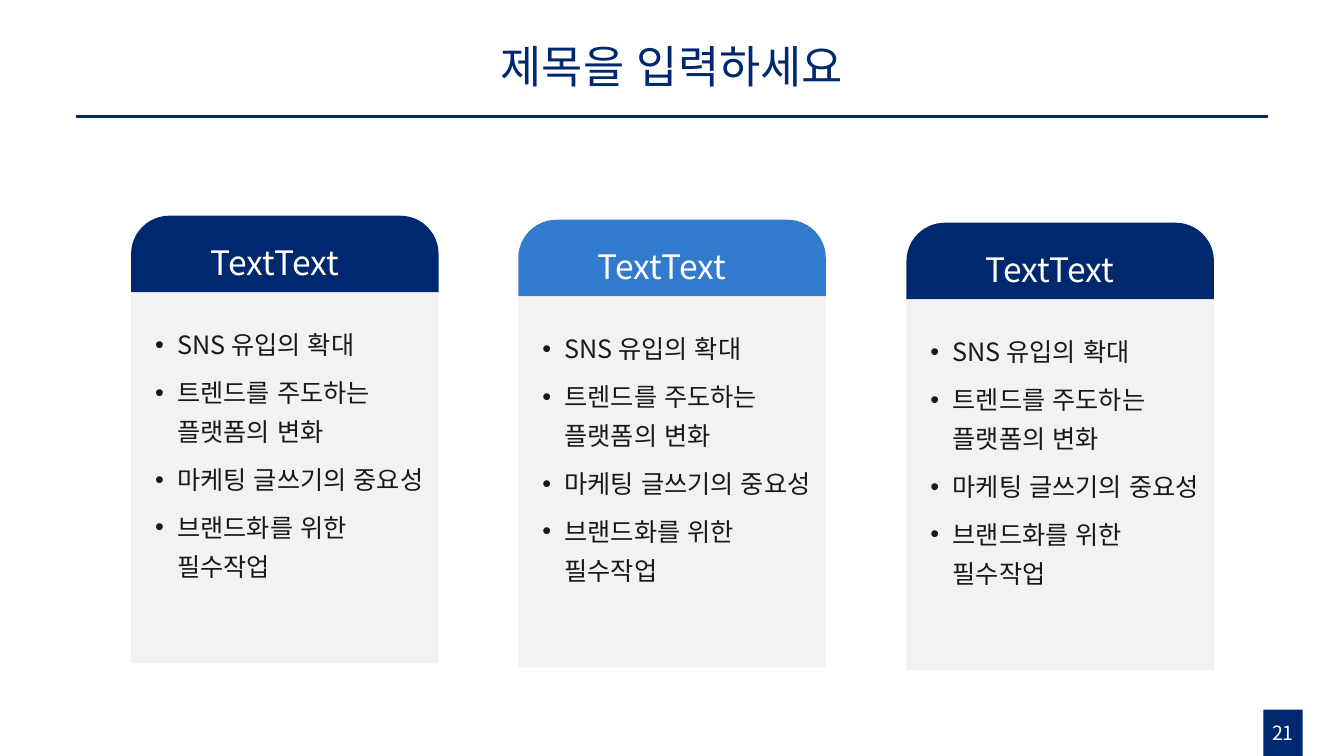
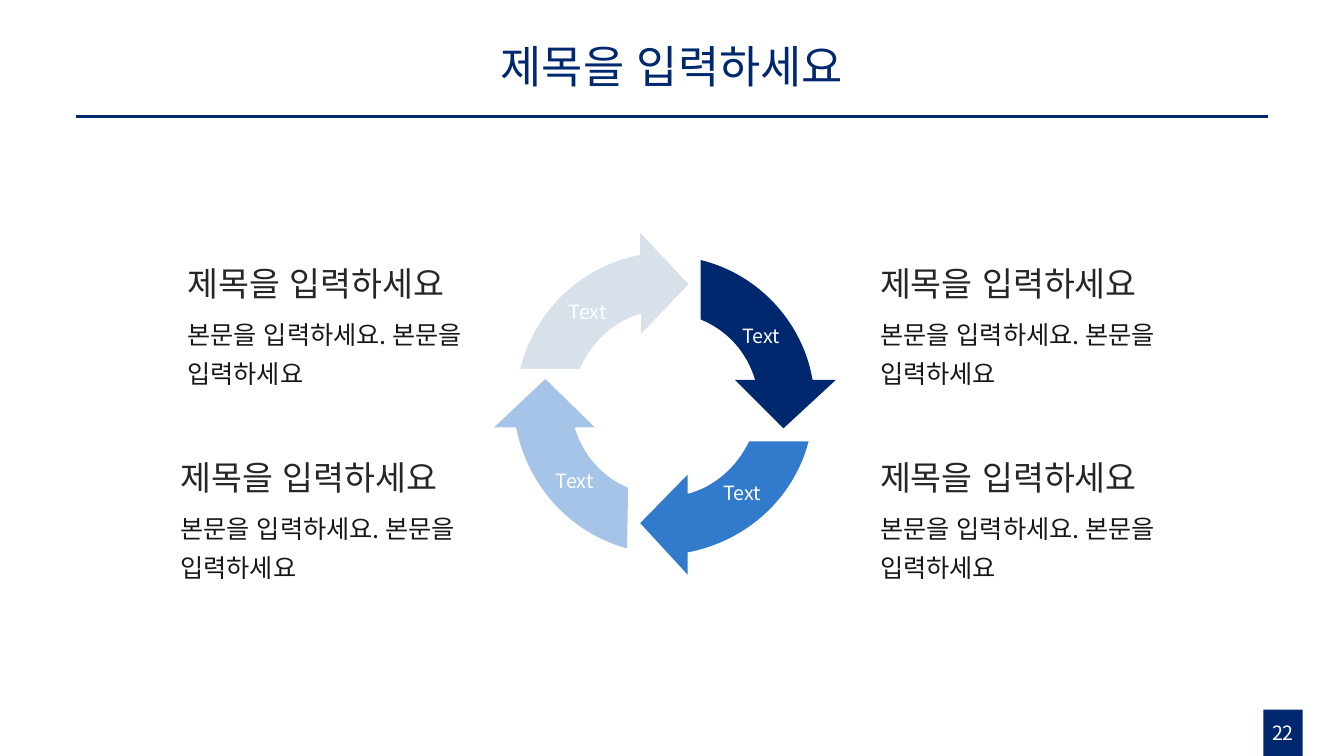
from pptx import Presentation
from pptx.dml.color import RGBColor
from pptx.enum.lang import MSO_LANGUAGE_ID
from pptx.enum.shapes import MSO_CONNECTOR, MSO_SHAPE
from pptx.enum.text import MSO_ANCHOR, MSO_AUTO_SIZE, PP_ALIGN
from pptx.oxml.ns import qn
from pptx.util import Inches, Pt
from lxml.etree import SubElement

NAVY = RGBColor(0x00, 0x28, 0x6F)
BLUE = RGBColor(0x32, 0x7B, 0xCC)
LIGHT_BLUE = RGBColor(0xA6, 0xC4, 0xE8)
PALE_BLUE = RGBColor(0xD8, 0xE1, 0xEA)
PANEL_GRAY = RGBColor(0xF2, 0xF2, 0xF2)
HEADING_GRAY = RGBColor(0x26, 0x26, 0x26)
BODY_BLACK = RGBColor(0x18, 0x18, 0x18)
WHITE = RGBColor(0xFF, 0xFF, 0xFF)
FONT = "Noto Sans CJK KR"
TITLE = "제목을 입력하세요"
BODY = "본문을 입력하세요. 본문을 입력하세요"
CARD_ITEMS = [
    "SNS 유입의 확대",
    "트렌드를 주도하는 플랫폼의 변화",
    "마케팅 글쓰기의 중요성",
    "브랜드화를 위한 필수작업",
]


def write_text(frame, text, *, size, color, align=PP_ALIGN.LEFT,
               anchor=MSO_ANCHOR.TOP, spacing=None, after=None,
               margin=0, bullet=None, grow=True):
    """Fill a text frame with one paragraph, or one for each list item."""
    frame.word_wrap = True
    frame.auto_size = MSO_AUTO_SIZE.SHAPE_TO_FIT_TEXT if grow else MSO_AUTO_SIZE.NONE
    frame.vertical_anchor = anchor
    for index, line in enumerate([text] if isinstance(text, str) else text):
        paragraph = frame.add_paragraph() if index else frame.paragraphs[0]
        properties = paragraph._p.get_or_add_pPr()
        if margin:
            properties.set("marL", str(Inches(margin)))
        if bullet:
            properties.set("indent", str(Inches(-0.22)))
            SubElement(properties, qn("a:buFont"), typeface="Arial")
            SubElement(properties, qn("a:buChar"), char=bullet)
        paragraph.alignment = align
        if spacing:
            paragraph.line_spacing = spacing
        if after:
            paragraph.space_after = Pt(after)
        run = paragraph.add_run()
        run.text = line
        run.font.size = Pt(size)
        run.font.color.rgb = color
        run.font.name = FONT
        run.font.language_id = MSO_LANGUAGE_ID.KOREAN
        SubElement(run._r.get_or_add_rPr(), qn("a:ea"), typeface=FONT)


def bend(line, controls, shape):
    """Turn a straight outline segment into a cubic curve."""
    line.tag = qn("a:cubicBezTo")
    for index, (x, y) in enumerate(controls):
        point = SubElement(line, qn("a:pt"), x=str(Inches(x) - shape.left),
                           y=str(Inches(y) - shape.top))
        line.insert(index, point)


class Deck:
    """Shared style and the slide being filled."""

    def __init__(self):
        self.presentation = Presentation()
        self.presentation.slide_width = Inches(13.33)
        self.presentation.slide_height = Inches(7.5)
        self.slide = None
        self.shapes = None

    def new_slide(self, title, number):
        layout = self.presentation.slide_layouts[5]
        self.slide = self.presentation.slides.add_slide(layout)
        self.shapes = self.slide.shapes
        self.rule(0.75, 12.58, 1.16)
        self.box(12.53, 7.04, 0.39, 0.46, NAVY)
        self.text(12.39, 7.1, 0.67, 0.34, number, size=14, color=WHITE,
                  align=PP_ALIGN.CENTER)
        shape = self.slide.shapes.title
        shape.left, shape.top = Inches(2.72), Inches(0.3)
        shape.width, shape.height = Inches(7.89), Inches(0.76)
        write_text(shape.text_frame, title, size=32, color=NAVY, spacing=0.9,
                   align=PP_ALIGN.CENTER, anchor=MSO_ANCHOR.MIDDLE, grow=False)

    def start_group(self):
        self.shapes = self.slide.shapes.add_group_shape().shapes

    def end_group(self):
        self.shapes = self.slide.shapes

    def rule(self, left, right, top):
        line = self.shapes.add_connector(MSO_CONNECTOR.STRAIGHT, Inches(left),
                                         Inches(top), Inches(right), Inches(top))
        line.line.color.rgb = NAVY
        line.line.width = Pt(2.25)
        SubElement(line._element.spPr, qn("a:effectLst"))

    def paint(self, shape, color):
        shape.shadow.inherit = False
        shape.fill.solid()
        shape.fill.fore_color.rgb = color
        shape.line.fill.background()

    def box(self, left, top, width, height, color, kind=MSO_SHAPE.RECTANGLE):
        shape = self.shapes.add_shape(kind, Inches(left), Inches(top),
                                      Inches(width), Inches(height))
        self.paint(shape, color)
        return shape

    def text(self, left, top, width, height, text, **style):
        shape = self.shapes.add_textbox(Inches(left), Inches(top),
                                        Inches(width), Inches(height))
        write_text(shape.text_frame, text, **style)

    def outline(self, start, segments, color):
        """Closed shape; a segment has one point (line) or three (curve)."""
        corners = [(Inches(x), Inches(y))
                   for x, y in [start] + [segment[-1] for segment in segments]]
        builder = self.shapes.build_freeform(*corners[0])
        builder.add_line_segments(corners[1:], close=True)
        shape = builder.convert_to_shape()
        self.paint(shape, color)
        lines = list(shape._element.iter(qn("a:lnTo")))
        for line, segment in zip(lines, segments):
            if len(segment) == 3:
                bend(line, segment[:2], shape)

    def card(self, left, top, color, heading, items):
        self.start_group()
        tab = self.box(left, top, 3.05, 0.76, color, MSO_SHAPE.ROUND_2_SAME_RECTANGLE)
        tab.adjustments[0] = 0.5
        tab.adjustments[1] = 0
        self.text(left + 0.3, top + 0.1, 2.25, 0.6, heading, size=24, color=WHITE,
                  spacing=1.3, align=PP_ALIGN.CENTER, anchor=MSO_ANCHOR.MIDDLE)
        self.box(left, top + 0.76, 3.05, 3.68, PANEL_GRAY)
        self.text(left + 0.05, top + 0.99, 2.95, 2.69, items, size=18,
                  color=BODY_BLACK, spacing=1.3, after=6, margin=0.31, bullet="•")
        self.end_group()

    def caption(self, left, top, heading, body):
        self.start_group()
        self.text(left, top, 3.3, 0.6, heading, size=24, color=HEADING_GRAY,
                  spacing=1.3, anchor=MSO_ANCHOR.MIDDLE)
        self.text(left - 0.09, top + 0.58, 3.34, 0.87, body, size=18,
                  color=BODY_BLACK, spacing=1.3, after=6, margin=0.09)
        self.end_group()

    def arrow_label(self, left, top):
        self.text(left, top, 0.96, 0.34, "Text", size=14, color=WHITE,
                  align=PP_ALIGN.CENTER, anchor=MSO_ANCHOR.MIDDLE)


def build_cards(deck):
    deck.new_slide(TITLE, "21")
    # Three cards, each a little lower than the one before
    for left, top, color in ((1.3, 2.14, NAVY), (5.14, 2.18, BLUE), (8.99, 2.21, NAVY)):
        deck.card(left, top, color, "TextText", CARD_ITEMS)


def build_cycle(deck):
    deck.new_slide(TITLE, "22")
    # Captions on both sides of the cycle
    for left, top in ((8.63, 2.45), (8.63, 4.37), (1.76, 2.45), (1.69, 4.37)):
        deck.caption(left, top, TITLE, BODY)

    # Four curved arrows: right, left, bottom, top
    deck.outline((6.95, 2.58), [
        [(6.95, 3.17)], [(7.22, 3.28), (7.41, 3.5), (7.49, 3.77)],
        [(7.29, 3.77)], [(7.77, 4.25)], [(8.29, 3.77)], [(8.06, 3.77)],
        [(7.96, 3.19), (7.52, 2.72), (6.95, 2.58)]], NAVY)
    deck.outline((5.41, 3.76), [
        [(4.9, 4.24)], [(5.12, 4.24)],
        [(5.23, 4.82), (5.66, 5.29), (6.22, 5.44)], [(6.23, 4.84)],
        [(5.97, 4.73), (5.78, 4.51), (5.7, 4.24)], [(5.9, 4.24)]], LIGHT_BLUE)
    deck.outline((7.43, 4.38), [
        [(7.31, 4.63), (7.09, 4.83), (6.82, 4.9)], [(6.82, 4.71)],
        [(6.35, 5.19)], [(6.82, 5.7)], [(6.82, 5.48)],
        [(7.4, 5.37), (7.87, 4.95), (8.02, 4.38)]], BLUE)
    deck.outline((6.35, 2.31), [
        [(6.35, 2.53)], [(5.77, 2.64), (5.31, 3.07), (5.16, 3.66)],
        [(5.75, 3.66)], [(5.87, 3.39), (6.08, 3.19), (6.36, 3.11)],
        [(6.36, 3.31)], [(6.83, 2.82)]], PALE_BLUE)

    # Arrow labels
    for left, top in ((7.07, 3.16), (6.88, 4.72), (5.22, 4.6), (5.35, 2.92)):
        deck.arrow_label(left, top)


def main():
    deck = Deck()
    build_cards(deck)
    build_cycle(deck)
    deck.presentation.save("out.pptx")


if __name__ == "__main__":
    main()
